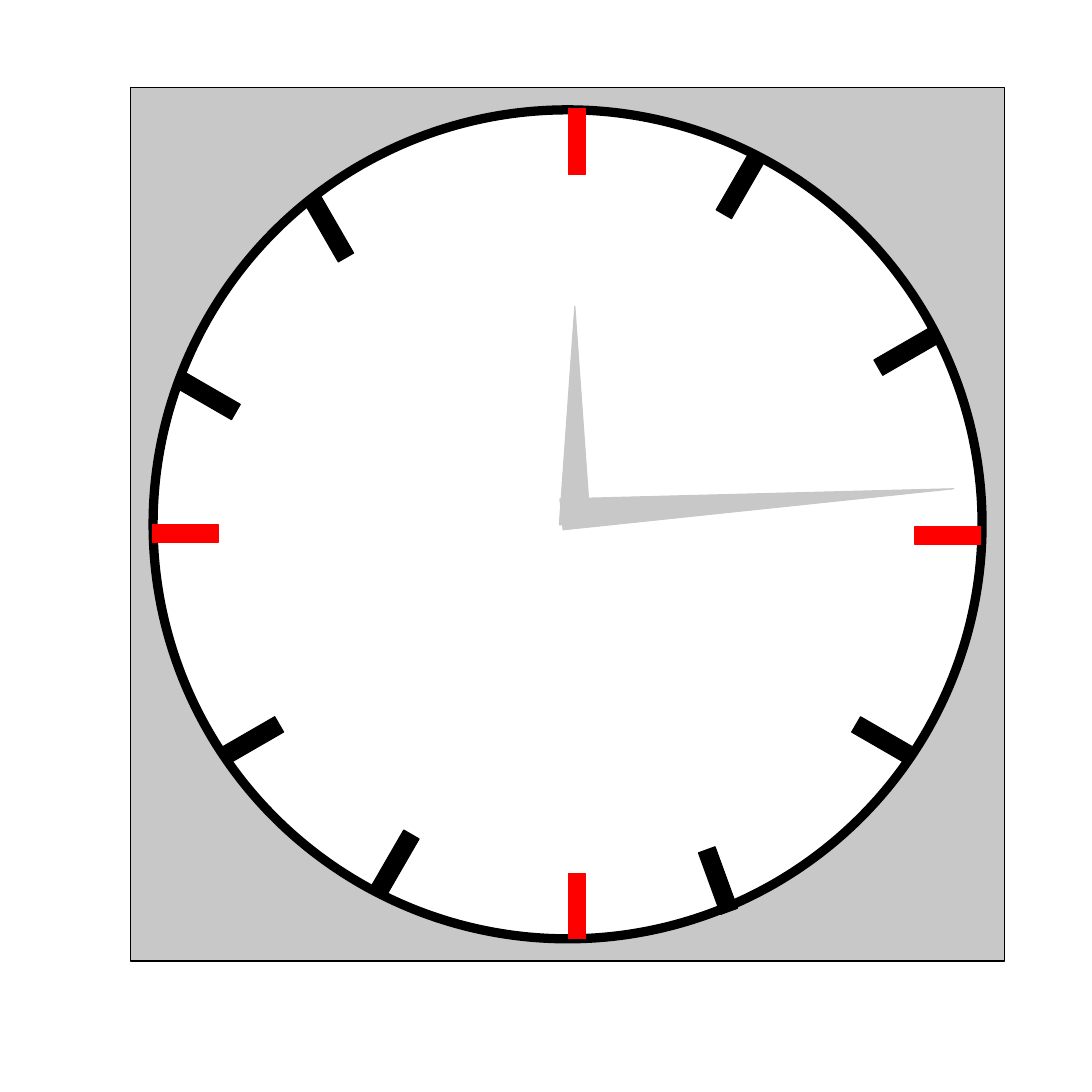
from pptx import Presentation
from pptx.dml.color import RGBColor
from pptx.enum.shapes import MSO_SHAPE
from pptx.util import Inches, Pt

GREY, WHITE, BLACK, RED = "C8C8C8", "FFFFFF", "000000", "FF0000"
MARK_W, MARK_H = 0.16, 0.59

# hour: left and top within the clock box, rotation
HOUR_MARKS = {
    6: (3.94, 7.08, 0),
    12: (3.94, 0.19, 0),
    9: (0.41, 3.72, 270),
    3: (7.28, 3.74, 270),
    2: (6.91, 2.08, 240),
    1: (5.41, 0.59, 210),
    4: (6.71, 5.59, 300),
    5: (5.21, 6.85, 340),
    7: (2.3, 6.69, 30),
    8: (1, 5.59, 60),
    10: (0.61, 2.48, 120),
    11: (1.71, 0.98, 150),
}


def color(hex_code):
    return RGBColor.from_string(hex_code)


def add_part(shapes, kind, box, fill, line, line_width=0, rotation=0):
    sp = shapes.add_shape(kind, *(Inches(v) for v in box))
    sp.shadow.inherit = False
    sp.fill.solid()
    sp.fill.fore_color.rgb = color(fill)
    sp.line.color.rgb = color(line)
    sp.line.width = Pt(line_width)
    sp.rotation = rotation
    return sp


def add_face(shapes, left, top, size):
    margin = 0.2
    dial = size - 2 * margin
    add_part(shapes, MSO_SHAPE.RECTANGLE, (left, top, size, size), GREY, BLACK)
    add_part(shapes, MSO_SHAPE.OVAL, (left + margin, top + margin, dial, dial),
             WHITE, BLACK, line_width=6)


def add_hour_marks(shapes, left, top):
    for hour, (x, y, rotation) in HOUR_MARKS.items():
        mark_color = RED if hour % 3 == 0 else BLACK
        add_part(shapes, MSO_SHAPE.RECTANGLE, (left + x, top + y, MARK_W, MARK_H),
                 mark_color, mark_color, rotation=rotation)


def add_hands(shapes, left, top):
    """Add the hour hand, then the minute hand."""
    for x, y, length, rotation, tip in ((3.86, 1.97, 1.97, 0, 0.5),
                                        (5.5, 1.89, 3.54, 84, 1)):
        hand = add_part(shapes, MSO_SHAPE.ISOSCELES_TRIANGLE,
                        (left + x, top + y, 0.28, length), GREY, GREY, rotation=rotation)
        hand.adjustments[0] = tip


def add_clock(s, left, top, size):
    shapes = s.shapes.add_group_shape().shapes
    add_face(shapes, left, top, size)
    add_hour_marks(shapes, left, top)
    add_hands(shapes, left, top)


def main():
    prs = Presentation()
    prs.slide_width = prs.slide_height = Inches(9.84)
    s = prs.slides.add_slide(prs.slide_layouts[6])
    add_clock(s, 1.18, 0.79, 7.87)
    prs.save("out.pptx")


if __name__ == "__main__":
    main()
